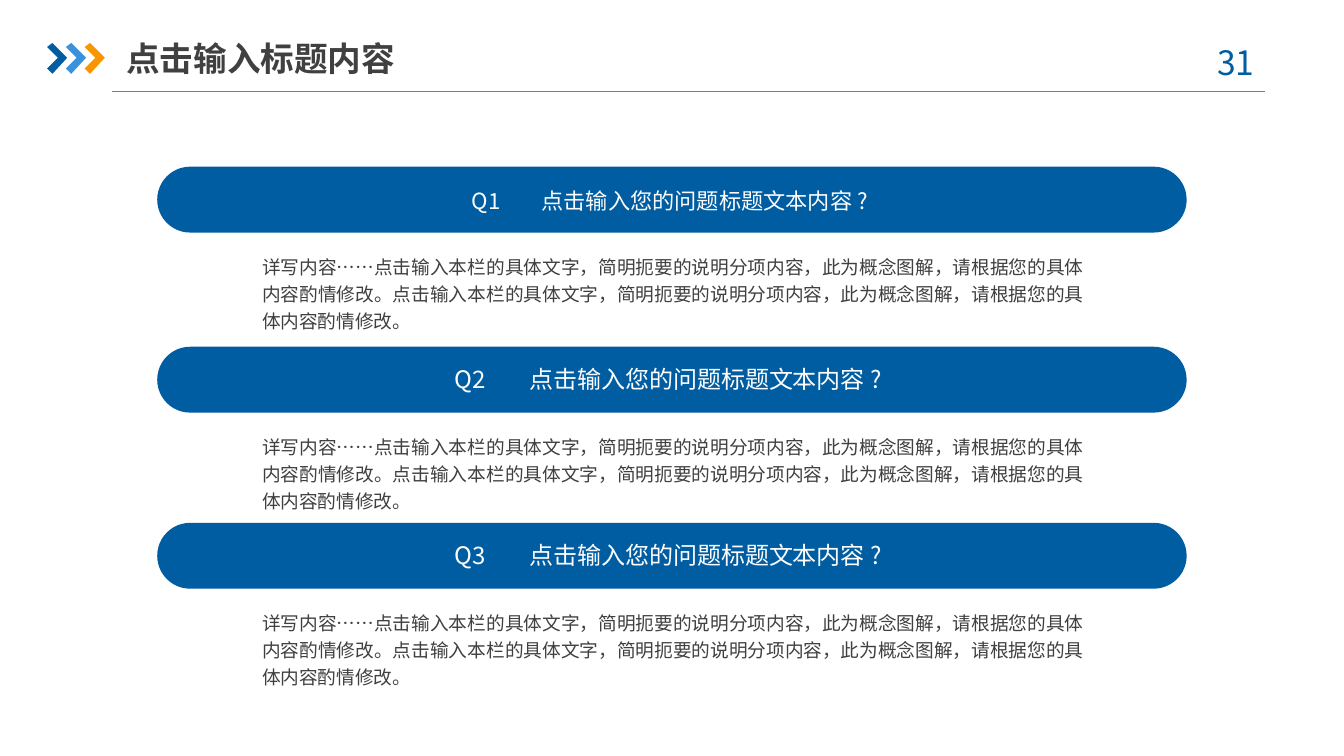
"""Build a question-and-answer slide with three banners and their details."""
from dataclasses import dataclass

from lxml.etree import SubElement
from pptx import Presentation
from pptx.dml.color import RGBColor as Color
from pptx.enum.shapes import MSO_CONNECTOR as Link, MSO_SHAPE as Shape
from pptx.enum.text import MSO_ANCHOR as Anchor, MSO_AUTO_SIZE as Fit, PP_ALIGN as Align
from pptx.oxml.ns import qn
from pptx.util import Inches, Pt


@dataclass(frozen=True)
class Theme:
    font: str = "Noto Sans CJK SC"
    blue: str = "005DA2"
    sky: str = "3992DB"
    gold: str = "F79600"
    gray: str = "808080"
    dark: str = "404040"
    pale: str = "FCFCFC"
    head: float = 18
    body: float = 10
    small: float = 11.9
    large: float = 12.9


THEME = Theme()
ASK = "点击输入您的问题标题文本内容 ?"
CLAUSE = "点击输入本栏的具体文字，简明扼要的说明分项内容，此为概念图解，请根据您的具体内容酌情修改。"
DETAIL = "详写内容……" + CLAUSE * 2
ROWS = [
    ("Q1", 1.24, THEME.small, 1.0, 0.16, 0.52),
    ("Q2", 2.58, THEME.large, 0.9, 0.03, 0.56),
    ("Q3", 3.89, THEME.large, 0.9, 0.03, 0.56),
]


def write(box, text, size, color, bold=False, align=Align.LEFT,
          anchor=Anchor.TOP, inset=(0, 0, 0, 0), space=1.0, tab=None):
    frame = box.text_frame
    frame.word_wrap = True
    frame.auto_size = Fit.NONE
    frame.vertical_anchor = anchor
    frame.margin_left, frame.margin_top, frame.margin_right, frame.margin_bottom = map(Inches, inset)
    para = frame.paragraphs[0]
    para.alignment = align
    para.line_spacing = space
    para.space_before = Pt(0)
    if tab:
        stops = SubElement(para._p.get_or_add_pPr(), qn("a:tabLst"))
        SubElement(stops, qn("a:tab"), pos=str(Inches(tab)), algn="l")
    run = para.add_run()
    run.text = text
    font = run.font
    font.name, font.size, font.bold = THEME.font, Pt(size), bold
    font.color.rgb = Color.from_string(color)
    SubElement(run._r.get_or_add_rPr(), qn("a:ea"), typeface=THEME.font)


def add_text(slide, text, at, **style):
    write(slide.shapes.add_textbox(*map(Inches, at)), text, **style)


def paint(shape, color):
    shape.shadow.inherit = False
    shape.fill.solid()
    shape.fill.fore_color.rgb = Color.from_string(color)
    shape.line.fill.background()


def add_arrow(slide, left, color):
    spots = [(0, 0.35), (0.04, 0.32), (0.15, 0.43), (0.04, 0.55), (0, 0.51), (0.08, 0.43)]
    points = [(Inches(left + x), Inches(y)) for x, y in spots]
    pen = slide.shapes.build_freeform(*points[0])
    pen.add_line_segments(points[1:], close=True)
    paint(pen.convert_to_shape(), color)


def add_rule(slide):
    ends = map(Inches, (0.83, 0.68, 9.41, 0.68))
    rule = slide.shapes.add_connector(Link.STRAIGHT, *ends)
    rule.line.color.rgb = Color.from_string(THEME.gray)
    rule.line.width = Pt(0.75)
    SubElement(rule._element.spPr, qn("a:effectLst"))


def add_title(slide, text):
    title = slide.shapes.title
    title.left, title.top, title.width, title.height = map(Inches, (0.94, 0.22, 2.33, 0.42))
    write(title, text, size=THEME.head, color=THEME.dark, bold=True,
          anchor=Anchor.MIDDLE, inset=(0, 0.05, 0, 0.05))


def add_row(slide, label, top, size, space, indent, tab):
    pill = slide.shapes.add_shape(Shape.ROUNDED_RECTANGLE, *map(Inches, (1.17, top, 7.66, 0.49)))
    pill.adjustments[0] = 0.5
    paint(pill, THEME.blue)
    add_text(slide, f"{label}\t{ASK}", (3.35, top + 0.08, 3.31, 0.34), size=size,
             color=THEME.pale, anchor=Anchor.MIDDLE, inset=(indent, 0, 0, 0),
             space=space, tab=tab)
    add_text(slide, DETAIL, (1.95, top + 0.63, 6.11, 0.61), size=THEME.body,
             color=THEME.dark, align=Align.JUSTIFY, space=1.2)


def main():
    deck = Presentation()
    deck.slide_width = Inches(10)
    deck.slide_height = deck.slide_width * 9 // 16
    slide = deck.slides.add_slide(deck.slide_layouts[5])
    add_rule(slide)
    for i, color in enumerate((THEME.blue, THEME.sky, THEME.gold)):
        add_arrow(slide, 0.35 + 0.14 * i, color)
    add_title(slide, "点击输入标题内容")
    add_text(slide, "31", (8.83, 0.26, 0.73, 0.4), size=THEME.head, color=THEME.blue,
             align=Align.CENTER, inset=(0.1, 0.05, 0.1, 0.05))
    for row in ROWS:
        add_row(slide, *row)
    deck.save("out.pptx")


if __name__ == "__main__":
    main()
